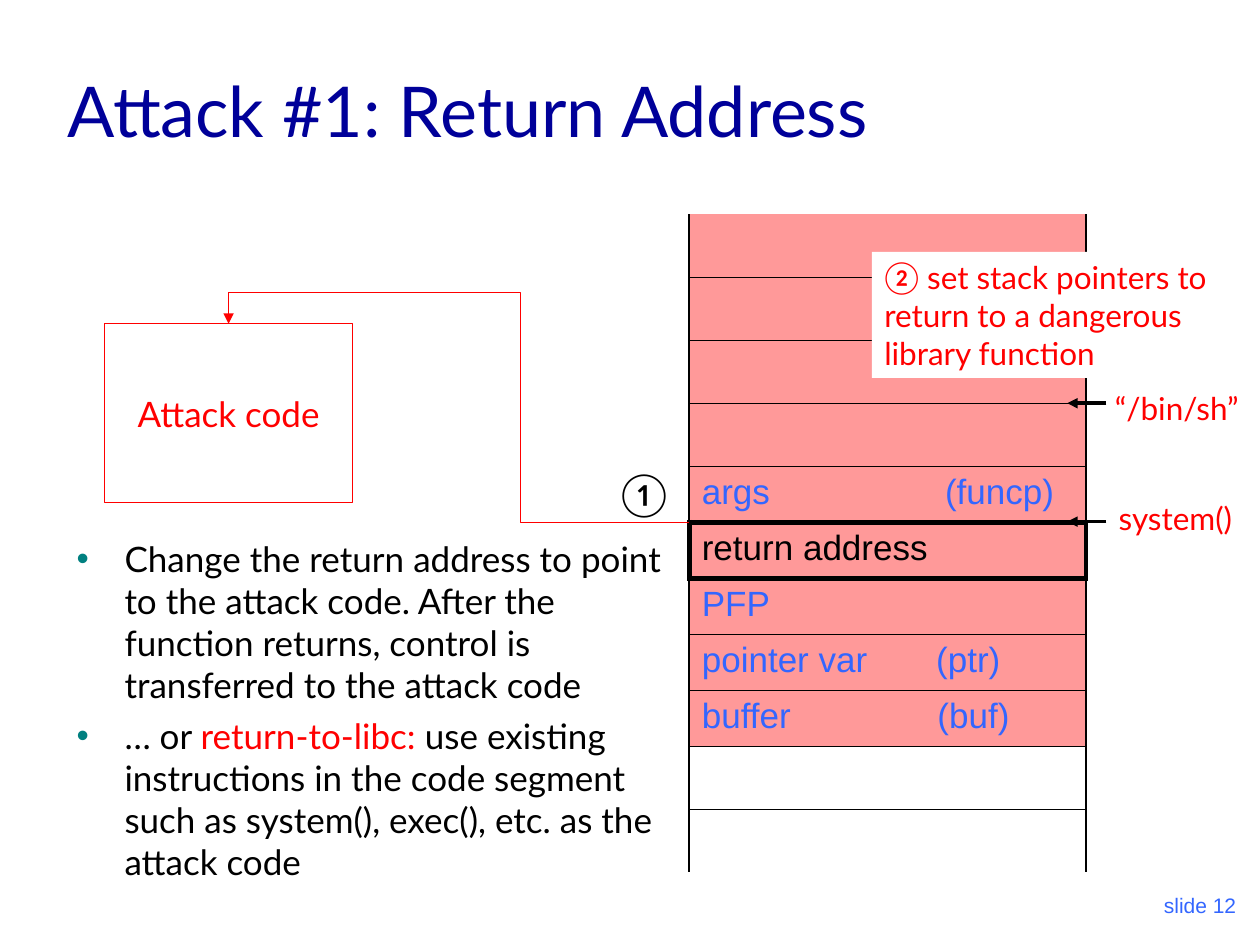
import pptx
import pptx.util
import pptx.dml.color
import pptx.enum.shapes
import pptx.enum.text
import pptx.oxml
import pptx.oxml.ns

Inches = pptx.util.Inches
Pt = pptx.util.Pt
qn = pptx.oxml.ns.qn
Anchor = pptx.enum.text.MSO_ANCHOR
Align = pptx.enum.text.PP_ALIGN
Kind = pptx.enum.shapes.MSO_CONNECTOR
rect = pptx.enum.shapes.MSO_SHAPE.RECTANGLE


def paint(color, code):
    color.rgb = pptx.dml.color.RGBColor.from_string(code)


def style(font, look):
    size, name, code = look
    for key, value in {"size": Pt(size), "name": name}.items():
        setattr(font, key, value)
    paint(font.color, code)


deck = pptx.Presentation()
deck.slide_width, deck.slide_height = Inches(10), Inches(7.5)
slide = deck.slides.add_slide(deck.slide_layouts[6])
shapes = slide.shapes
ns = pptx.oxml.ns.nsdecls("a")

slot = shapes.add_shape(rect, Inches(5.47), Inches(3.91), Inches(3.15), Inches(0.47))
slot.shadow.inherit = False
slot.fill.solid()
paint(slot.fill.fore_color, "B3B3FF")
paint(slot.line.color, "000000")
slot.line.width = Pt(0.5)

blue, pink = "3366FF", "FF9999"
stack = (
    [("", 0, blue, pink, 0.5)] * 4
    + [
        ("args\t(funcp)", 1.93, blue, pink, 0.445),
        ("return address", 0, "000000", pink, 0.445),
        ("PFP", 0, blue, pink, 0.445),
        ("pointer var\t(ptr)", 1.86, blue, pink, 0.445),
        ("buffer\t(buf)", 1.87, blue, pink, 0.445),
    ]
    + [("", 0, blue, "FFFFFF", 0.5)] * 2
)
rules = [0] + [0.45] * 4 + [3, 3] + [0.45] * 4 + [0]
frame = shapes.add_table(len(stack), 1, Inches(5.47), Inches(1.7), Inches(3.15), Inches(5.22))
table = frame.table
for key, value in {"first_row": False, "horz_banding": False}.items():
    setattr(table, key, value)
for i, (text, stop, ink, back, high) in enumerate(stack):
    table.rows[i].height = Inches(high)
    cell = table.cell(i, 0)
    side = 3 if rules[i] == rules[i + 1] == 3 else 1.08
    props = cell._tc.get_or_add_tcPr()
    for tag, width in zip("LRTB", (side, side, rules[i], rules[i + 1])):
        fill = '<a:solidFill><a:srgbClr val="000000"/></a:solidFill>' if width else "<a:noFill/>"
        props.append(pptx.oxml.parse_xml(f'<a:ln{tag} {ns} w="{Pt(width)}">{fill}</a:ln{tag}>'))
    cell.fill.solid()
    paint(cell.fill.fore_color, back)
    para = cell.text_frame.paragraphs[0]
    if stop:
        para._p.get_or_add_pPr().append(pptx.oxml.parse_xml(
            f'<a:tabLst {ns}><a:tab pos="{Inches(stop)}" algn="l"/></a:tabLst>'))
    if text:
        run = para.add_run()
        run.text = text
        style(run.font, (20, "Arial", ink))

code = shapes.add_shape(rect, Inches(0.83), Inches(2.57), Inches(1.97), Inches(1.42))
code.shadow.inherit = False
code.fill.solid()
paint(code.fill.fore_color, "FFFFFF")
paint(code.line.color, "FF0000")
code.line.width = Pt(0.5)
code.text_frame.word_wrap = False
code.text_frame.vertical_anchor = Anchor.MIDDLE
para = code.text_frame.paragraphs[0]
para.alignment = Align.CENTER
run = para.add_run()
run.text = "Attack code"
style(run.font, (20, "Lato", "FF0000"))

jump = shapes.add_connector(Kind.ELBOW, Inches(5.47), Inches(4.14), Inches(1.81), Inches(2.57))
jump.begin_connect(slot, 1)
jump.end_connect(code, 0)
shape = jump._element.spPr.find(qn("a:prstGeom"))
shape.set("prst", "bentConnector4")
guides = shape.get_or_add_avLst()
for name, value in (("adj1", 36600), ("adj2", 115900)):
    guides.append(pptx.oxml.parse_xml(f'<a:gd {ns} name="{name}" fmla="val {value}"/>'))

body = shapes.add_textbox(Inches(0.51), Inches(4.22), Inches(4.88), Inches(2.84)).text_frame
body.word_wrap = True
points = [
    [("Change the return address to point to the attack code. After the function returns, "
      "control is transferred to the attack code", "000000")],
    [("… or ", "000000"), ("return-to-libc:", "FF0000"),
     (" use existing instructions in the code segment such as system(), exec(), etc. "
      "as the attack code", "000000")],
]
for i, parts in enumerate(points):
    para = body.add_paragraph() if i else body.paragraphs[0]
    props = para._p.get_or_add_pPr()
    props.set("marL", str(Inches(0.38)))
    props.set("indent", str(Inches(-0.38)))
    for xml in (f'<a:buClr {ns}><a:srgbClr val="008080"/></a:buClr>',
                f'<a:buFont {ns} typeface="Arial"/>', f'<a:buChar {ns} char="•"/>'):
        props.append(pptx.oxml.parse_xml(xml))
    para.space_before = Pt(5 * i)
    for text, ink in parts:
        run = para.add_run()
        run.text = text
        style(run.font, (20, "Lato", ink))

red = (18, "Lato", "FF0000")
top, low = Anchor.TOP, Anchor.BOTTOM
notes = [
    ("①", (4.83, 3.67, 0.39, 0.5), (24, "Lato", "000000"), top, Align.LEFT, None),
    ("② set stack pointers to return to a dangerous library function",
     (6.92, 2, 2.93, 1), red, top, Align.LEFT, "FFFFFF"),
    ("“/bin/sh”", (8.75, 3.04, 1.22, 0.4), red, top, Align.LEFT, None),
    ("system()", (8.78, 3.91, 1.22, 0.4), red, top, Align.LEFT, None),
    ("Attack #1: Return Address", (0.44, 0.25, 8.5, 1), (40, "Lato", "000099"),
     low, Align.LEFT, None),
    ("slide 12", (7.83, 6.83, 2.08, 0.5), (12, "Arial", blue), low, Align.RIGHT, None),
]
for text, spot, look, anchor, align, back in notes:
    box = shapes.add_textbox(*map(Inches, spot))
    if back:
        box.fill.solid()
        paint(box.fill.fore_color, back)
    for key, value in {"word_wrap": True, "vertical_anchor": anchor}.items():
        setattr(box.text_frame, key, value)
    para = box.text_frame.paragraphs[0]
    para.alignment = align
    run = para.add_run()
    run.text = text
    style(run.font, look)

links = [(jump, "FF0000", 0.5)]
for y in (3.2, 4.14):
    arrow = shapes.add_connector(Kind.STRAIGHT, Inches(8.78), Inches(y), Inches(8.47), Inches(y))
    links.append((arrow, "000000", 2))
for link, ink, width in links:
    paint(link.line.color, ink)
    link.line.width = Pt(width)
    link.line._get_or_add_ln().append(pptx.oxml.parse_xml(f'<a:tailEnd {ns} type="triangle"/>'))
    link._element.spPr.append(pptx.oxml.parse_xml(f"<a:effectLst {ns}/>"))

deck.save("out.pptx")
